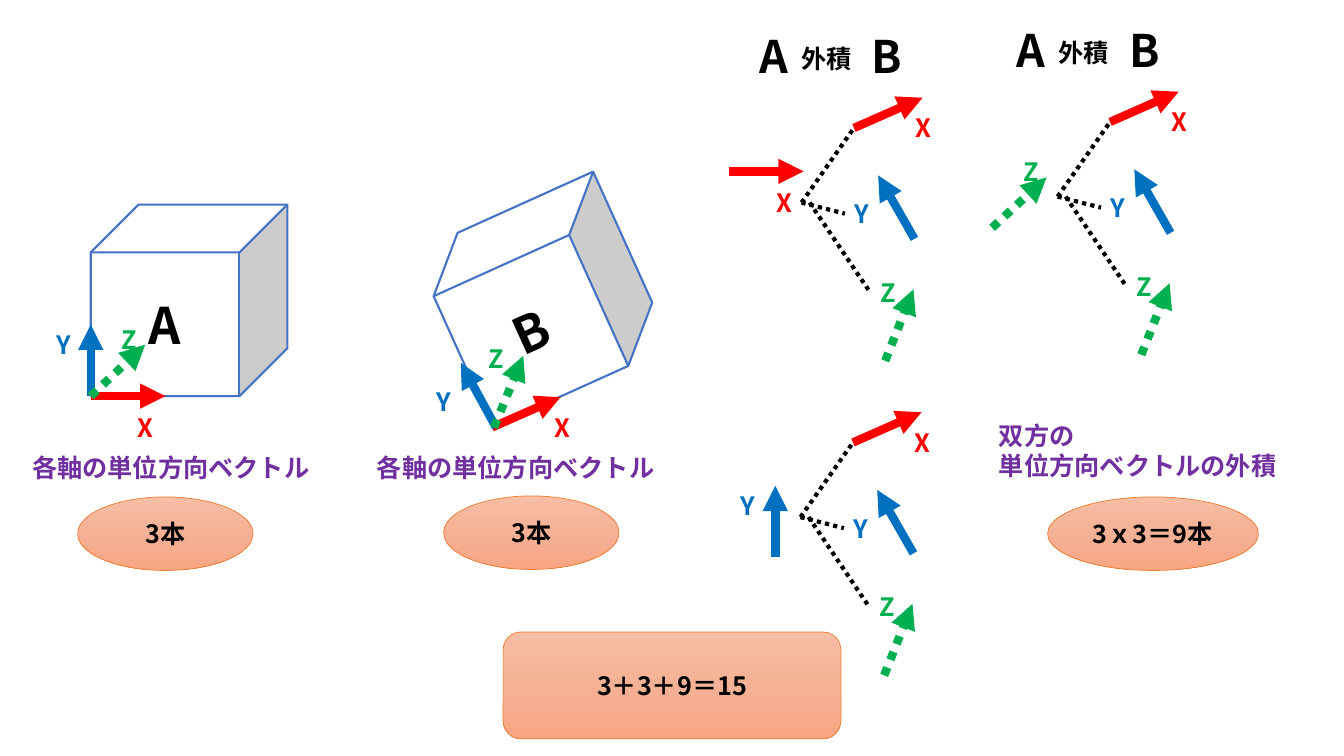
from copy import deepcopy
from lxml import etree
from pptx import Presentation
from pptx.dml.color import RGBColor
from pptx.enum.dml import MSO_LINE
from pptx.enum.shapes import MSO_CONNECTOR, MSO_SHAPE
from pptx.enum.text import MSO_ANCHOR, MSO_AUTO_SIZE, PP_ALIGN
from pptx.oxml.ns import qn
from pptx.util import Inches, Pt

BLACK = RGBColor(0, 0, 0)
WHITE = RGBColor(255, 255, 255)
RED = RGBColor(0xFF, 0, 0)
BLUE = RGBColor(0, 0x70, 0xC0)
GREEN = RGBColor(0, 0xB0, 0x50)
PURPLE = RGBColor(0x70, 0x30, 0xA0)
CUBE_EDGE = RGBColor(0x44, 0x72, 0xC4)
ORANGE = RGBColor(0xED, 0x7D, 0x31)
PEACHES = [RGBColor(0xF7, 0xBD, 0xA5), RGBColor(0xF5, 0xB1, 0x96), RGBColor(0xF8, 0xA5, 0x82)]
AXIS_COLORS = {"X": RED, "Y": BLUE, "Z": GREEN}
FONT = "Noto Sans CJK JP"

prs = Presentation()
prs.slide_width, prs.slide_height = Inches(13.33), Inches(7.5)
COL, ROW = prs.slide_width / 13.33, prs.slide_height / 7.5
slide = prs.slides.add_slide(prs.slide_layouts[6])
shapes = slide.shapes


def write(shape, text, size, color, align=PP_ALIGN.LEFT, font=FONT):
    frame = shape.text_frame
    frame.word_wrap = True
    frame.text = text
    for paragraph in frame.paragraphs:
        paragraph.alignment = align
        run = paragraph.runs[0]
        run.font.name, run.font.size, run.font.bold = font, Pt(size), True
        run.font.color.rgb = color
        etree.SubElement(run.font._element, qn("a:ea")).set("typeface", FONT)


def draw_line(start, end, color, width, dotted, arrow):
    line = shapes.add_connector(MSO_CONNECTOR.STRAIGHT, round(start[0] * COL), round(start[1] * ROW),
                                round(end[0] * COL), round(end[1] * ROW))
    line.line.color.rgb = color
    line.line.width = Pt(width)
    if dotted:
        line.line.dash_style = MSO_LINE.ROUND_DOT
    if arrow:
        etree.SubElement(line.line._get_or_add_ln(), qn("a:tailEnd")).set("type", "triangle")
    etree.SubElement(line._element.spPr, qn("a:effectLst"))


solids = [
    (MSO_SHAPE.CUBE, 0.9, 2.03, 1.95, 1.9, 0, "A"),
    (MSO_SHAPE.CUBE, 4.41, 2.02, 1.95, 1.9, 335.7, "B"),
    (MSO_SHAPE.OVAL, 0.77, 4.93, 1.74, 0.73, 0, "3本"),
    (MSO_SHAPE.OVAL, 4.4, 4.92, 1.74, 0.73, 0, "3本"),
    (MSO_SHAPE.OVAL, 10.39, 4.93, 2.09, 0.73, 0, "3ｘ3＝9本"),
    (MSO_SHAPE.ROUNDED_RECTANGLE, 4.99, 6.27, 3.35, 1.06, 0, "3＋3＋9＝15"),
]
for kind, x, y, w, h, angle, text in solids:
    solid = shapes.add_shape(kind, round(x * COL), round(y * ROW), round(w * COL), round(h * ROW))
    solid.shadow.inherit = False
    solid.rotation = angle
    is_cube = kind == MSO_SHAPE.CUBE
    if is_cube:
        solid.fill.solid()
        solid.fill.fore_color.rgb = WHITE
    else:
        solid.fill.gradient()
        solid.fill.gradient_angle = 270
        stop_list = solid._element.spPr.find(".//" + qn("a:gsLst"))
        stop_list.insert(1, deepcopy(stop_list[0]))
        for i, (stop, peach) in enumerate(zip(solid.fill.gradient_stops, PEACHES)):
            stop.position = i / 2
            stop.color.rgb = peach
    solid.line.color.rgb = CUBE_EDGE if is_cube else ORANGE
    solid.line.width = Pt(1.5 if is_cube else 0.5)
    solid.text_frame.vertical_anchor = MSO_ANCHOR.MIDDLE
    write(solid, text, 36 if is_cube else 18, BLACK, PP_ALIGN.CENTER)

axes = [
    ("X", (0.9, 3.93), (1.64, 3.93), (1.27, 4.04)),
    ("Y", (0.9, 3.93), (0.9, 3.22), (0.46, 3.22)),
    ("Z", (0.9, 3.93), (1.44, 3.42), (1.11, 3.17)),
    ("X", (4.88, 4.24), (5.56, 3.94), (5.4, 4.04)),
    ("Y", (4.92, 4.24), (4.57, 3.6), (4.23, 3.78)),
    ("Z", (4.9, 4.24), (5.19, 3.53), (4.75, 3.36)),
    ("X", (7.23, 1.7), (7.97, 1.7), (7.6, 1.81)),
    ("Y", (7.69, 5.53), (7.69, 4.82), (7.25, 4.82)),
    ("Z", (9.84, 2.26), (10.38, 1.76), (10.05, 1.5)),
]
fan_axes = [
    ("X", (0.52, -0.74), (1.2, -1.04), (1.03, -0.94)),
    ("Y", (1.12, 0.36), (0.76, -0.27), (0.43, -0.09)),
    ("Z", (0.83, 1.57), (1.11, 0.86), (0.68, 0.69)),
]
fan_rays = [((0, 0), (0.52, -0.74)), ((0, 0), (0.43, 0.11)), ((0.08, 0), (0.68, 0.89))]
for apex_x, apex_y in [(7.95, 2.01), (7.94, 5.13), (10.49, 1.95)]:
    for name, *points in fan_axes:
        axes.append((name, *[(apex_x + dx, apex_y + dy) for dx, dy in points]))
    for ray in fan_rays:
        start, end = [(apex_x + dx, apex_y + dy) for dx, dy in ray]
        draw_line(start, end, BLACK, 3, True, False)

labels = [
    ("各軸の単位方向ベクトル", 0.22, 4.44, 3.08, 0.4, 18, PURPLE, FONT),
    ("各軸の単位方向ベクトル", 3.64, 4.44, 3.08, 0.4, 18, PURPLE, FONT),
    ("双方の\n単位方向ベクトルの外積", 9.81, 4.12, 3.24, 0.71, 18, PURPLE, "Courier New"),
]
for x, y in [(7.43, 0.24), (9.98, 0.18)]:
    labels += [
        ("A", x, y, 0.68, 0.64, 32, BLACK, FONT),
        ("外積", x + 0.42, y + 0.14, 0.79, 0.4, 18, BLACK, FONT),
        ("B", x + 1.12, y, 0.68, 0.64, 32, BLACK, FONT),
    ]
for name, start, end, (x, y) in axes:
    draw_line(start, end, AXIS_COLORS[name], 6, name == "Z", True)
    labels.append((name, x, y, 0.35, 0.4, 18, AXIS_COLORS[name], FONT))

for text, x, y, w, h, size, color, font in labels:
    box = shapes.add_textbox(round(x * COL), round(y * ROW), round(w * COL), round(h * ROW))
    box.text_frame.auto_size = MSO_AUTO_SIZE.SHAPE_TO_FIT_TEXT
    write(box, text, size, color, font=font)

prs.save("out.pptx")
